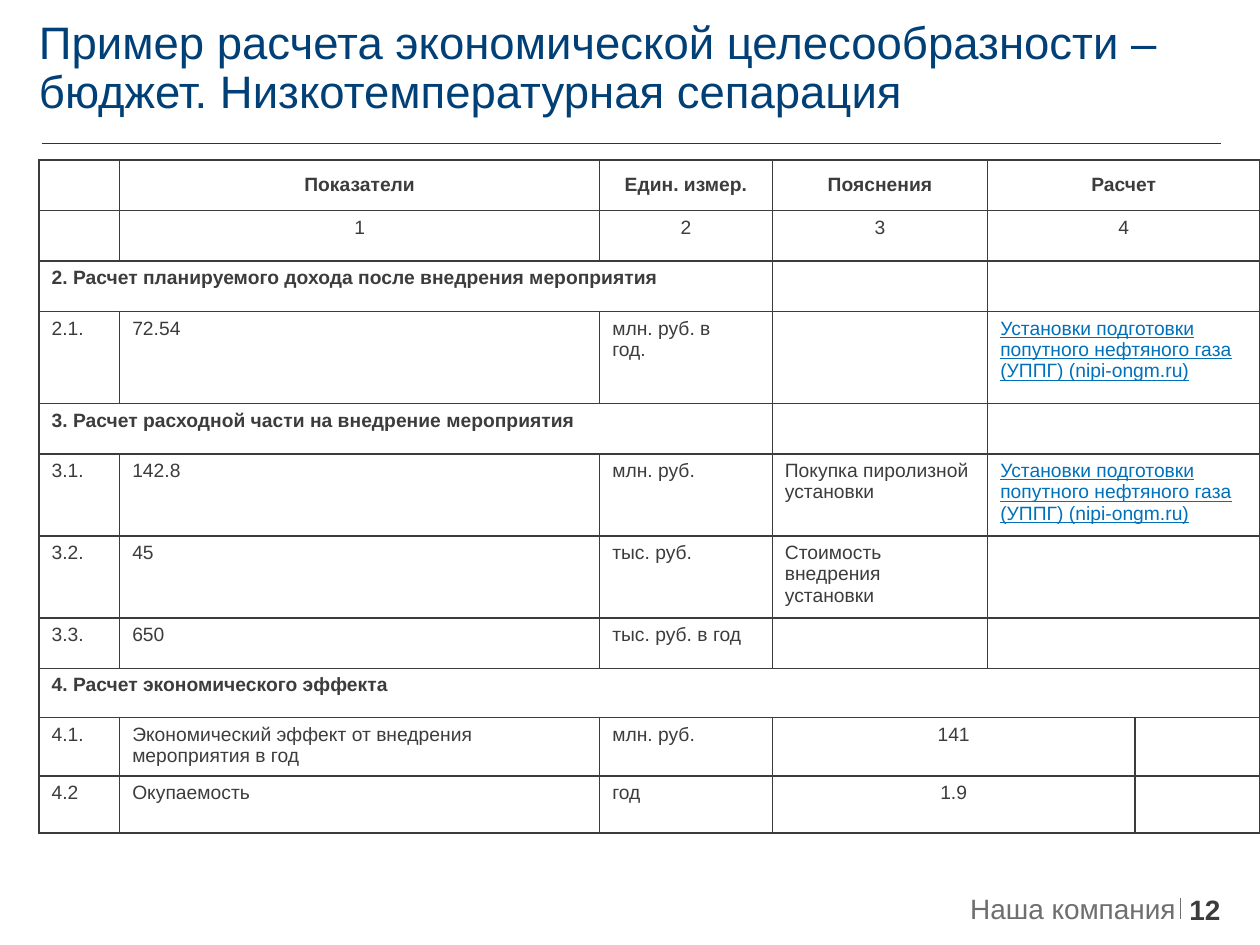
from dataclasses import dataclass
from lxml.etree import SubElement
from pptx import Presentation
from pptx.dml.color import RGBColor as Rgb
from pptx.enum.shapes import MSO_CONNECTOR as Conn
from pptx.enum.text import MSO_ANCHOR as Anchor, PP_ALIGN as Align
from pptx.oxml.ns import qn
from pptx.util import Inches, Pt


@dataclass(frozen=True)
class Theme:
    font: str = "Arial"
    navy: str = "004077"
    dark: str = "3C3C3C"
    gray: str = "706F6F"
    link: str = "0070BA"
    white: str = "FFFFFF"
    title: int = 26
    foot: int = 16
    body: int = 11


def write(frame, text, size, color, font, bold=False, under=False,
          align=Align.LEFT, space=None):
    for i, line in enumerate(text.split("\n")):
        para = frame.add_paragraph() if i else frame.paragraphs[0]
        para.alignment = align
        if space:
            para.line_spacing = space
        run = para.add_run()
        run.text = line
        face = run.font
        face.name, face.size = font, Pt(size)
        face.bold, face.underline = bold, under
        face.color.rgb = Rgb.from_string(color)


class Page:
    def __init__(self, slide, theme):
        self.slide, self.theme = slide, theme

    def rule(self, x1, y1, x2, y2, color, width):
        line = self.slide.shapes.add_connector(
            Conn.STRAIGHT, *map(Inches, (x1, y1, x2, y2)))
        line.line.color.rgb = Rgb.from_string(color)
        line.line.width = Pt(width)
        SubElement(line._element.spPr, qn("a:effectLst"))

    def text(self, box, text, anchor=Anchor.TOP, **style):
        frame = self.slide.shapes.add_textbox(*map(Inches, box)).text_frame
        frame.word_wrap = True
        frame.vertical_anchor = anchor
        frame.margin_left = frame.margin_right = 0
        frame.margin_top = frame.margin_bottom = 0
        write(frame, text, font=self.theme.font, **style)

    def border(self, cell):
        props = cell._tc.get_or_add_tcPr()
        for i, side in enumerate(("lnL", "lnR", "lnT", "lnB")):
            edge = props.makeelement(qn(f"a:{side}"), {"w": str(Pt(1))})
            fill = SubElement(edge, qn("a:solidFill"))
            SubElement(fill, qn("a:srgbClr"), val=self.theme.dark)
            props.insert(i, edge)

    def table(self, left, top, cols, rows, data, spans, style):
        shape = self.slide.shapes.add_table(
            len(rows), len(cols), Inches(left), Inches(top),
            Inches(sum(cols)), Inches(sum(rows)))
        grid = shape.table
        grid.first_row = grid.horz_banding = False
        for col, width in zip(grid.columns, cols):
            col.width = Inches(width)
        for row, height in zip(grid.rows, rows):
            row.height = Inches(height)
        for r, c, end in spans:
            grid.cell(r, c).merge(grid.cell(r, end))
        for r, row in enumerate(data):
            for c in range(len(cols)):
                cell = grid.cell(r, c)
                cell.fill.solid()
                cell.fill.fore_color.rgb = Rgb.from_string(self.theme.white)
                self.border(cell)
                if r == 0:
                    cell.vertical_anchor = Anchor.MIDDLE
                if not cell.is_spanned:
                    text = row[c] if c < len(row) else ""
                    write(cell.text_frame, text, font=self.theme.font,
                          size=self.theme.body, **style(r, c))


LINK = "Установки подготовки попутного нефтяного газа (УППГ) (nipi-ongm.ru)"
COLS = [0.64, 3.81, 1.37, 1.71, 1.17, 0.99]
ROWS = [0.39, 0.39, 0.39, 0.73, 0.39, 0.61, 0.62, 0.39, 0.39, 0.45, 0.45]
DATA = [
    ["", "Показатели", "Един. измер.", "Пояснения", "Расчет"],
    ["", "1", "2", "3", "4"],
    ["2. Расчет планируемого дохода после внедрения мероприятия"],
    ["2.1.", "72.54", "млн. руб. в\nгод.", "", LINK],
    ["3. Расчет расходной части на внедрение мероприятия"],
    ["3.1.", "142.8", "млн. руб.", "Покупка пиролизной установки", LINK],
    ["3.2.", "45", "тыс. руб.", "Стоимость внедрения установки"],
    ["3.3.", "650", "тыс. руб. в год"],
    ["4. Расчет экономического эффекта"],
    ["4.1.", "Экономический эффект от внедрения мероприятия в год",
     "млн. руб.", "141"],
    ["4.2", "Окупаемость", "год", "1.9"],
]
HEADS = {2: 2, 4: 2, 8: 5}
SUMS = (9, 10)


def main():
    deck = Presentation()
    deck.slide_width, deck.slide_height = Inches(10), Inches(7.5)
    theme = Theme()
    page = Page(deck.slides.add_slide(deck.slide_layouts[6]), theme)

    def style(r, c):
        link = c < len(DATA[r]) and DATA[r][c] == LINK
        mid = r < 2 or (r in SUMS and c == 3)
        return dict(color=theme.link if link else theme.dark, under=link,
                    bold=r == 0 or r in HEADS,
                    align=Align.CENTER if mid else Align.LEFT)

    spans = [(r, 0, end) for r, end in HEADS.items()]
    spans += [(r, 3, 4) for r in SUMS]
    spans += [(r, 4, 5) for r in range(8)]

    page.rule(0.33, 1.14, 9.69, 1.14, theme.navy, 1)
    page.rule(9.37, 7.13, 9.37, 7.29, theme.gray, 0.75)
    page.text((9.44, 7.08, 0.56, 0.19), "12",
              size=theme.foot, color=theme.dark, bold=True)
    page.text((5.94, 7.07, 3.39, 0.27), "Наша компания", Anchor.MIDDLE,
              size=theme.foot, color=theme.gray, align=Align.RIGHT)
    page.text((0.31, 0.28, 9.37, 0.66),
              "Пример расчета экономической целесообразности – "
              "бюджет. Низкотемпературная сепарация", Anchor.BOTTOM,
              size=theme.title, color=theme.navy, space=0.9)
    page.table(0.31, 1.27, COLS, ROWS, DATA, spans, style)
    deck.save("out.pptx")


if __name__ == "__main__":
    main()
